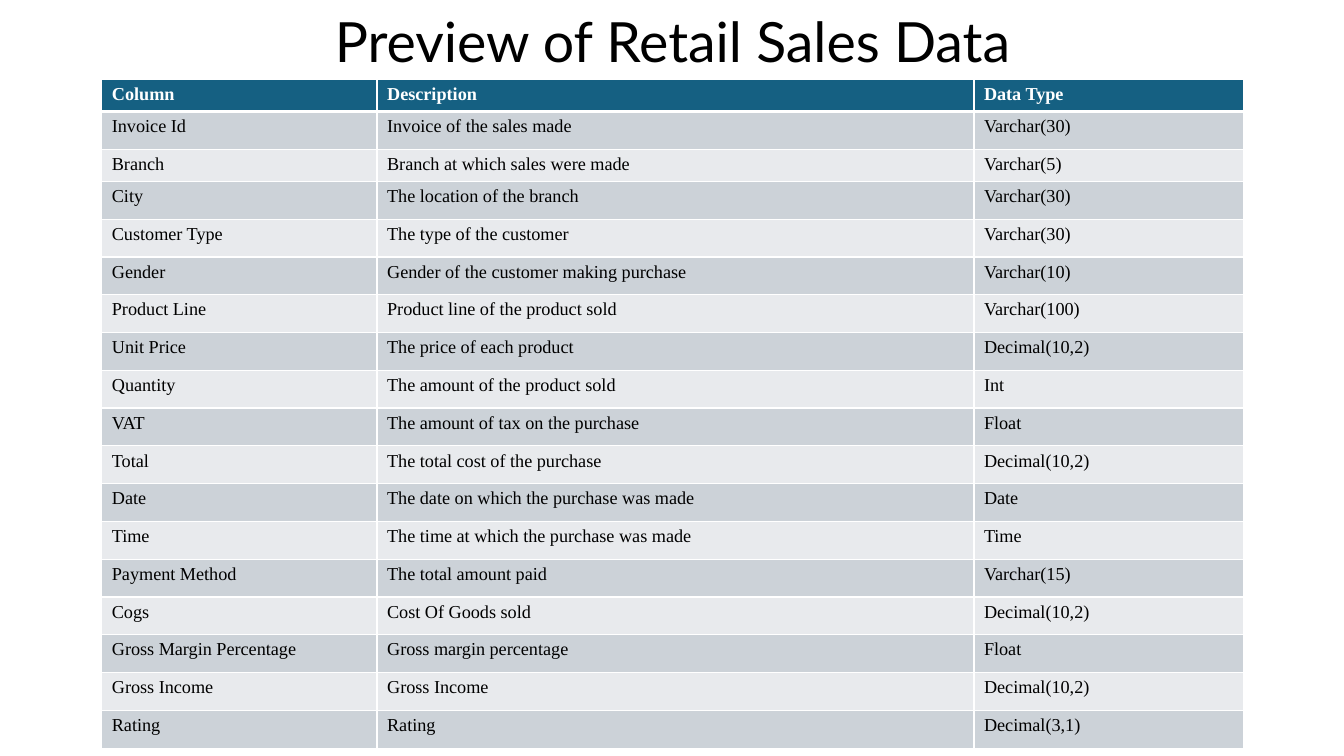
from lxml.etree import SubElement
from pptx import Presentation
from pptx.dml.color import RGBColor
from pptx.enum.text import MSO_ANCHOR, PP_ALIGN
from pptx.oxml.ns import qn
from pptx.util import Inches, Pt

BLACK = RGBColor(0x00, 0x00, 0x00)
WHITE = RGBColor(0xFF, 0xFF, 0xFF)
HEADER_BLUE = RGBColor(0x15, 0x60, 0x82)
BAND_DARK = RGBColor(0xCC, 0xD2, 0xD8)
BAND_LIGHT = RGBColor(0xE8, 0xEA, 0xED)

COLUMN_WIDTHS = [2.73, 5.92, 2.67]
COMPACT_ROWS = {0, 2}
COMPACT_HEIGHT = 0.3
REGULAR_HEIGHT = 6 / 16

FIELDS = [
    ("Column", "Description", "Data Type"),
    ("Invoice Id", "Invoice of the sales made", "Varchar(30)"),
    ("Branch", "Branch at which sales were made", "Varchar(5)"),
    ("City", "The location of the branch", "Varchar(30)"),
    ("Customer Type", "The type of the customer", "Varchar(30)"),
    ("Gender", "Gender of the customer making purchase", "Varchar(10)"),
    ("Product Line", "Product line of the product sold", "Varchar(100)"),
    ("Unit Price", "The price of each product", "Decimal(10,2)"),
    ("Quantity", "The amount of the product sold", "Int"),
    ("VAT", "The amount of tax on the purchase", "Float"),
    ("Total", "The total cost of the purchase", "Decimal(10,2)"),
    ("Date", "The date on which the purchase was made", "Date"),
    ("Time", "The time at which the purchase was made", "Time"),
    ("Payment Method", "The total amount paid", "Varchar(15)"),
    ("Cogs", "Cost Of Goods sold", "Decimal(10,2)"),
    ("Gross Margin Percentage", "Gross margin percentage", "Float"),
    ("Gross Income", "Gross Income", "Decimal(10,2)"),
    ("Rating", "Rating", "Decimal(3,1)"),
]


def style_font(paragraph, name, size, color, bold=False):
    font = paragraph.font
    font.name = name
    font.size = Pt(size)
    font.bold = bold
    font.color.rgb = color


def add_title(slide, text):
    title = slide.shapes.add_textbox(Inches(1.67), Inches(0.17), Inches(10), Inches(0.62))
    frame = title.text_frame
    frame.word_wrap = True
    frame.vertical_anchor = MSO_ANCHOR.BOTTOM
    paragraph = frame.paragraphs[0]
    paragraph.text = text
    paragraph.alignment = PP_ALIGN.CENTER
    paragraph.line_spacing = 0.9
    style_font(paragraph, "Lato", 39.6, BLACK)


def add_borders(cell, top, bottom):
    properties = cell._tc.get_or_add_tcPr()
    for side, width in (("L", 1), ("R", 1), ("T", top), ("B", bottom)):
        line = SubElement(properties, qn(f"a:ln{side}"), w=str(Pt(width)))
        fill = SubElement(line, qn("a:solidFill"))
        SubElement(fill, qn("a:srgbClr"), val=str(WHITE))


def fill_cell(cell, text, row_index):
    is_header = row_index == 0
    add_borders(cell, 3 if row_index == 1 else 1, 3 if is_header else 1)
    cell.fill.solid()
    band = BAND_DARK if row_index % 2 else BAND_LIGHT
    cell.fill.fore_color.rgb = HEADER_BLUE if is_header else band
    paragraph = cell.text_frame.paragraphs[0]
    paragraph.text = text
    style_font(paragraph, "Times New Roman", 13, WHITE if is_header else BLACK, is_header)


def add_field_table(slide):
    heights = [COMPACT_HEIGHT if index in COMPACT_ROWS else REGULAR_HEIGHT
               for index in range(len(FIELDS))]
    table = slide.shapes.add_table(
        len(FIELDS), len(COLUMN_WIDTHS), Inches(1.01), Inches(0.79),
        Inches(sum(COLUMN_WIDTHS)), Inches(sum(heights))).table
    for column, width in zip(table.columns, COLUMN_WIDTHS):
        column.width = Inches(width)
    for row_index, (row, height, texts) in enumerate(zip(table.rows, heights, FIELDS)):
        row.height = Inches(height)
        for cell, text in zip(row.cells, texts):
            fill_cell(cell, text, row_index)


def main():
    presentation = Presentation()
    presentation.slide_width = Inches(13.33)
    presentation.slide_height = Inches(7.5)
    slide = presentation.slides.add_slide(presentation.slide_layouts[6])
    add_title(slide, "Preview of Retail Sales Data")
    add_field_table(slide)
    presentation.save("out.pptx")


if __name__ == "__main__":
    main()
